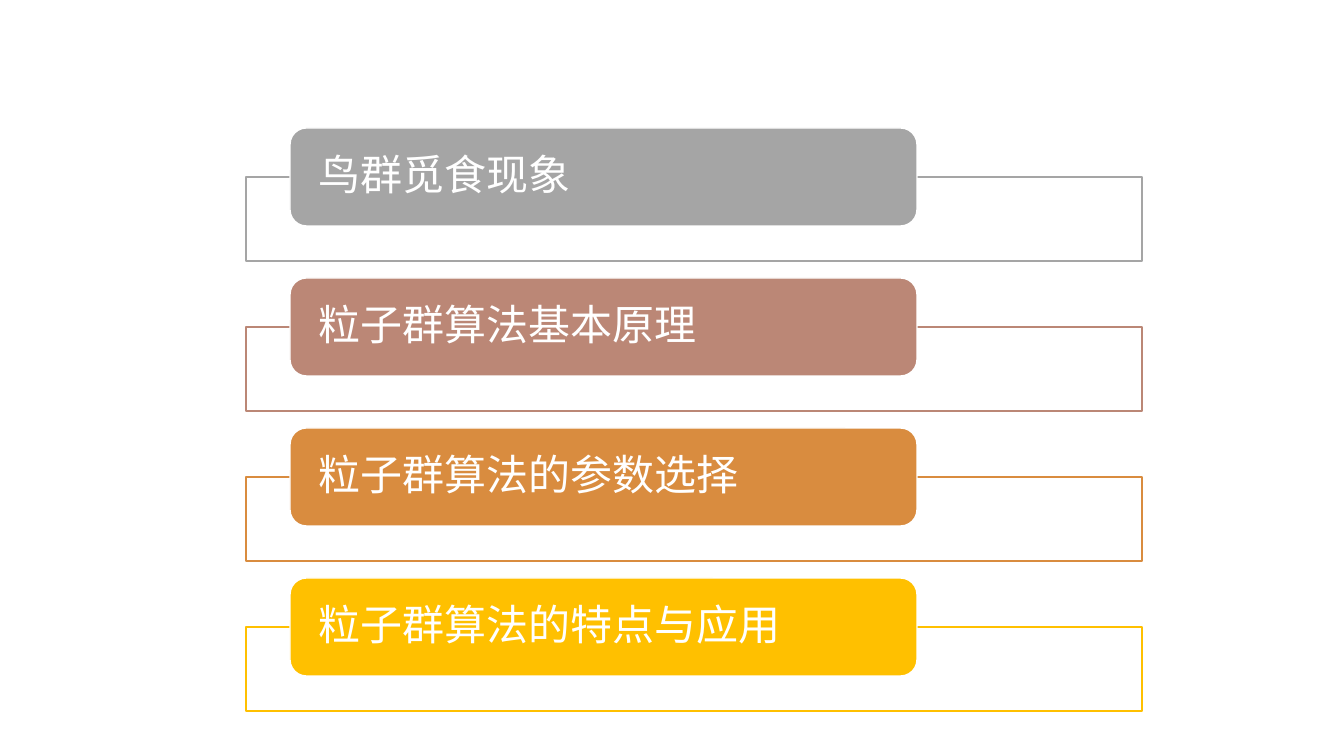
from lxml import etree
from pptx import Presentation
from pptx.dml.color import RGBColor
from pptx.enum.shapes import MSO_SHAPE
from pptx.enum.text import MSO_ANCHOR, PP_ALIGN
from pptx.oxml.ns import qn
from pptx.util import Emu, Pt

RECTANGLE = MSO_SHAPE.RECTANGLE
ROUNDED = MSO_SHAPE.ROUNDED_RECTANGLE
MIDDLE = MSO_ANCHOR.MIDDLE
LEFT = PP_ALIGN.LEFT

PX_PER_INCH = 100.8
PITCH = 150
WHITE = "FFFFFF"
TOPICS = [
    ("鸟群觅食现象", "A5A5A5"),
    ("粒子群算法基本原理", "BB8776"),
    ("粒子群算法的参数选择", "D98C3F"),
    ("粒子群算法的特点与应用", "FFC000"),
]


def px(length):
    return Emu(round(length * 914400 / PX_PER_INCH))


def color(value):
    return RGBColor.from_string(value)


class AgendaPage:
    """Draws agenda elements on one page in a shared style."""

    font_name = "Calibri"
    font_size = 30
    line_width = 1
    text_inset = 24

    def __init__(self, deck):
        self.page = deck.slides.add_slide(deck.slide_layouts[6])

    def box(self, kind, left, top, width, height, fill, line):
        box = self.page.shapes.add_shape(
            kind, px(left), px(top), px(width), px(height)
        )
        box.shadow.inherit = False
        box.fill.solid()
        box.fill.fore_color.rgb = color(fill)
        box.line.color.rgb = color(line)
        box.line.width = Pt(self.line_width)
        return box

    def frame(self, top, line):
        frame = self.box(RECTANGLE, 246, top, 896, 84, WHITE, line)
        fill = frame.fill._xPr.find(qn("a:solidFill"))
        etree.SubElement(fill[0], qn("a:alpha"), val="90000")

    def label(self, top, text, fill):
        label = self.box(ROUNDED, 290, top, 627, 98, fill, WHITE)
        body = label.text_frame
        body.word_wrap = True
        body.vertical_anchor = MIDDLE
        body.margin_left = body.margin_right = px(self.text_inset)
        body.margin_top = body.margin_bottom = 0
        para = body.paragraphs[0]
        para.alignment = LEFT
        para.line_spacing = 0.9
        span = para.add_run()
        span.text = text
        span.font.name = self.font_name
        span.font.size = Pt(self.font_size)
        span.font.color.rgb = color(WHITE)


def main():
    deck = Presentation()
    deck.slide_width = px(1344)
    deck.slide_height = px(756)
    agenda = AgendaPage(deck)
    for index, (topic, accent) in enumerate(TOPICS):
        offset = index * PITCH
        agenda.frame(177 + offset, accent)
        agenda.label(128 + offset, topic, accent)
    deck.save("out.pptx")


if __name__ == "__main__":
    main()
